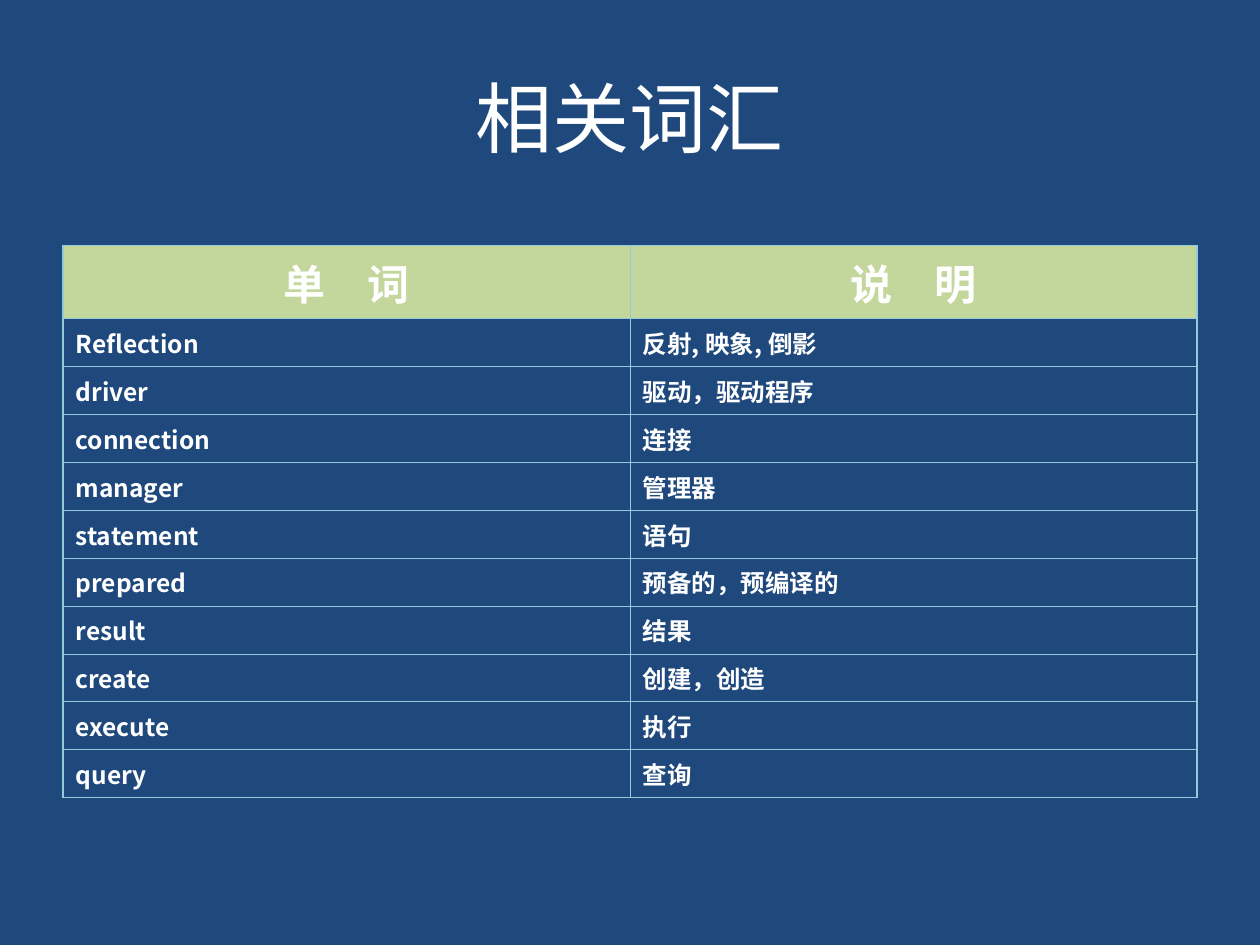
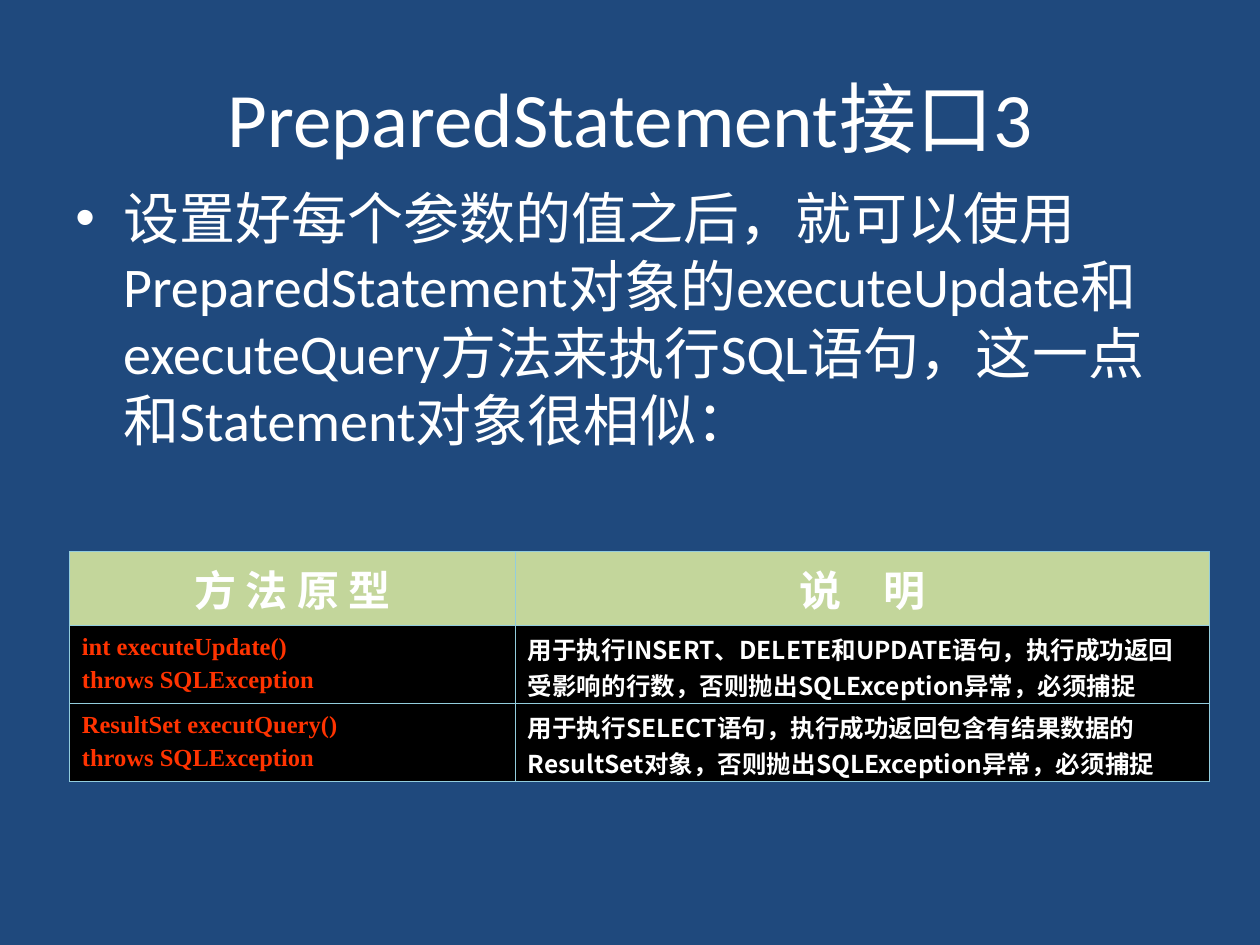
from lxml.etree import SubElement
from pptx import Presentation
from pptx.dml.color import RGBColor
from pptx.enum.text import MSO_ANCHOR as Anchor, PP_ALIGN as Align
from pptx.oxml.ns import qn
from pptx.util import Inches, Pt

COLORS = {
    "background": "1F497D",
    "text": "FFFFFF",
    "header": "C3D69B",
    "border": "93CDDD",
    "code": "FF3300",
    "code_fill": "000000",
}
BODY_FONT = "Calibri"
TABLE_FONT = "Noto Sans CJK SC"
CODE_FONT = "Times New Roman"

VOCABULARY = [
    ("Reflection", "反射, 映象, 倒影"),
    ("driver", "驱动，驱动程序"),
    ("connection", "连接"),
    ("manager", "管理器"),
    ("statement", "语句"),
    ("prepared", "预备的，预编译的"),
    ("result", "结果"),
    ("create", "创建，创造"),
    ("execute", "执行"),
    ("query", "查询"),
]
METHODS = [
    ("int executeUpdate()\nthrows SQLException",
     "用于执行INSERT、DELETE和UPDATE语句，执行成功返回受影响的行数，否则抛出SQLException异常，必须捕捉"),
    ("ResultSet executQuery()\nthrows SQLException",
     "用于执行SELECT语句，执行成功返回包含有结果数据的ResultSet对象，否则抛出SQLException异常，必须捕捉"),
]


class Deck:
    """Holds the shared style and the current slide."""

    def __init__(self):
        self.presentation = Presentation()
        self.presentation.slide_width = Inches(10)
        self.presentation.slide_height = Inches(7.5)
        self.slide = None

    def color(self, name):
        return RGBColor.from_string(COLORS[name])

    def add_slide(self, title):
        self.slide = self.presentation.slides.add_slide(self.presentation.slide_layouts[6])
        fill = self.slide.background.fill
        fill.solid()
        fill.fore_color.rgb = self.color("background")
        frame = self.text_box(0.5, 0.3, 9, 1.25)
        frame.vertical_anchor = Anchor.MIDDLE
        paragraph = frame.paragraphs[0]
        paragraph.alignment = Align.CENTER
        self.run(paragraph, title, 44)

    def text_box(self, left, top, width, height):
        shape = self.slide.shapes.add_textbox(Inches(left), Inches(top), Inches(width), Inches(height))
        shape.text_frame.word_wrap = True
        return shape.text_frame

    def run(self, paragraph, text, size, font=BODY_FONT, color="text", bold=False):
        run = paragraph.add_run()
        run.text = text
        run.font.size = Pt(size)
        run.font.bold = bold
        run.font.color.rgb = self.color(color)
        run.font.name = font
        SubElement(run.font._element, qn("a:ea"), typeface=TABLE_FONT)

    def bullet(self, text):
        paragraph = self.text_box(0.5, 1.41, 9, 5.47).paragraphs[0]
        paragraph.space_before = Pt(8)
        properties = paragraph._p.get_or_add_pPr()
        properties.set("marL", str(Inches(0.38)))
        properties.set("indent", str(Inches(-0.38)))
        SubElement(properties, qn("a:buFont"), typeface="Arial")
        SubElement(properties, qn("a:buChar"), char="•")
        self.run(paragraph, text, 32)

    def borders(self, cell, outer_sides):
        properties = cell._tc.get_or_add_tcPr()
        for side in "LRTB":
            width = Pt(0.75 if side in outer_sides else 0.45)
            line = SubElement(properties, qn(f"a:ln{side}"), w=str(width))
            fill = SubElement(line, qn("a:solidFill"))
            SubElement(fill, qn("a:srgbClr"), val=COLORS["border"])

    def cell(self, cell, text, outer_sides, header=False, fill=None, font=TABLE_FONT, color="text"):
        self.borders(cell, outer_sides)
        if fill:
            cell.fill.solid()
            cell.fill.fore_color.rgb = self.color(fill)
        else:
            cell.fill.background()
        cell.vertical_anchor = Anchor.MIDDLE
        cell.margin_left = cell.margin_right = Inches(0.1)
        cell.margin_top = cell.margin_bottom = Inches(0.05)
        frame = cell.text_frame
        for index, line in enumerate(text.split("\n")):
            paragraph = frame.add_paragraph() if index else frame.paragraphs[0]
            paragraph.alignment = Align.CENTER if header else Align.LEFT
            paragraph.space_before = Pt(6 if header else 3.5)
            self.run(paragraph, line, 24 if header else 14, font, color, bold=True)

    def table(self, left, top, widths, row_height, headers, rows, fill=None, first_style=None):
        header_height = 0.58
        height = header_height + row_height * len(rows)
        frame = self.slide.shapes.add_table(
            len(rows) + 1, len(widths), Inches(left), Inches(top), Inches(sum(widths)), Inches(height))
        table = frame.table
        for column, width in zip(table.columns, widths):
            column.width = Inches(width)
        for r, texts in enumerate([headers, *rows]):
            table.rows[r].height = Inches(row_height if r else header_height)
            for c, text in enumerate(texts):
                outer_sides = ("L" if c == 0 else "") + ("R" if c == len(widths) - 1 else "")
                outer_sides += ("T" if r == 0 else "") + ("B" if r == len(rows) else "")
                if r == 0:
                    style = {"header": True, "fill": "header"}
                else:
                    style = {"fill": fill, **((first_style or {}) if c == 0 else {})}
                self.cell(table.cell(r, c), text, outer_sides, **style)


def main():
    deck = Deck()
    deck.add_slide("相关词汇")
    deck.table(0.5, 1.95, [4.5, 4.5], 0.38, ("单　词", "说　明"), VOCABULARY)

    deck.add_slide("PreparedStatement接口3")
    deck.bullet("设置好每个参数的值之后，就可以使用PreparedStatement对象的executeUpdate和"
                "executeQuery方法来执行SQL语句，这一点和Statement对象很相似：")
    deck.table(0.55, 4.38, [3.54, 5.51], 0.62, ("方 法 原 型", "说　明"), METHODS,
               fill="code_fill", first_style={"font": CODE_FONT, "color": "code"})
    deck.presentation.save("out.pptx")


if __name__ == "__main__":
    main()
